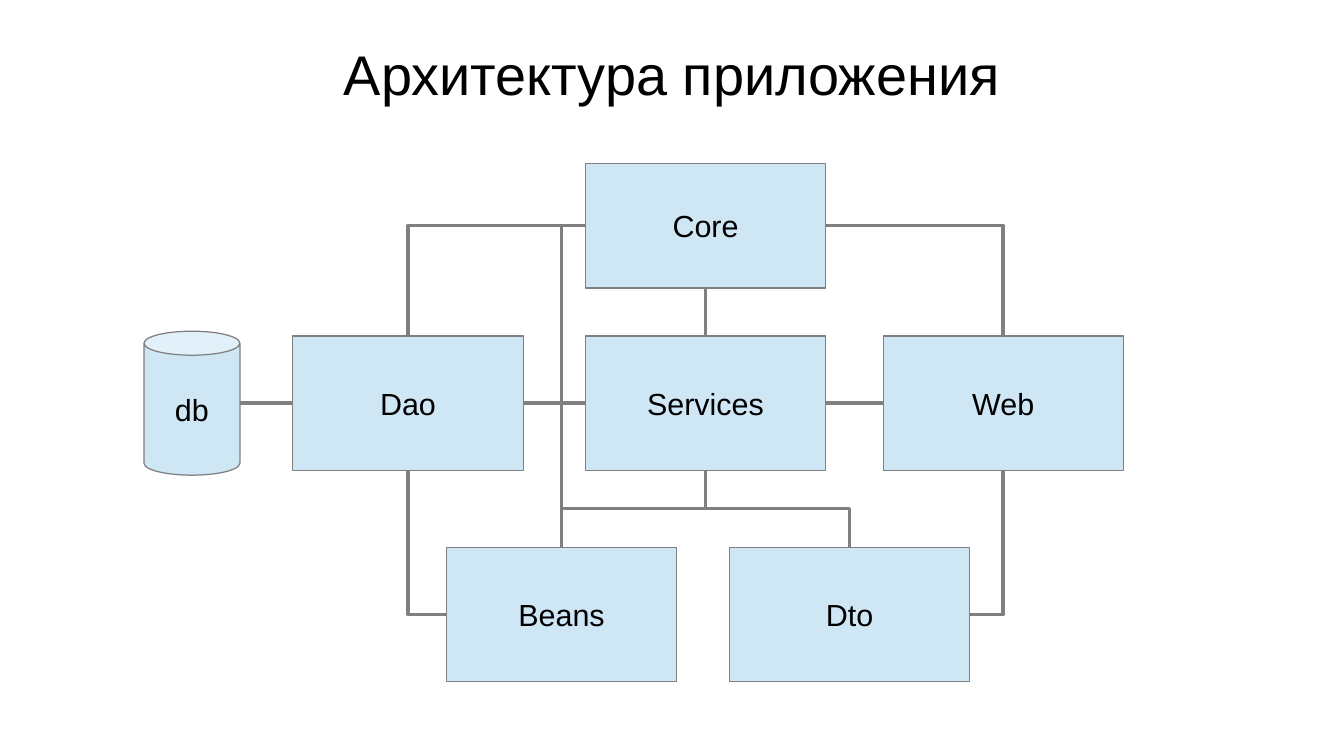
from dataclasses import dataclass

from lxml.etree import SubElement
from pptx import Presentation
from pptx.dml.color import RGBColor
from pptx.enum.shapes import MSO_CONNECTOR, MSO_SHAPE
from pptx.enum.text import MSO_ANCHOR, PP_ALIGN
from pptx.oxml.ns import qn
from pptx.util import Pt


@dataclass(frozen=True)
class Theme:
    font: str = "Arial"
    title_size: float = 33
    label_size: float = 18
    text: RGBColor = RGBColor(0x00, 0x00, 0x00)
    fill: RGBColor = RGBColor(0xCF, 0xE7, 0xF5)
    line: RGBColor = RGBColor(0x80, 0x80, 0x80)
    line_width: float = 0


SITES = {"top": 0, "left": 1, "bottom": 2, "right": 3}


def apply_format(target, values):
    for name, value in values.items():
        setattr(target, name, value)


def side_point(box, side):
    across, down = {"top": (0.5, 0), "left": (0, 0.5),
                    "bottom": (0.5, 1), "right": (1, 0.5)}[side]
    return box.left + int(box.width * across), box.top + int(box.height * down)


class Diagram:
    def __init__(self, page, theme):
        self.page = page
        self.theme = theme

    def label(self, shape, text, size, margins, wrap):
        frame = shape.text_frame
        side, edge = (Pt(margin) for margin in margins)
        apply_format(frame, {
            "margin_left": side, "margin_right": side,
            "margin_top": edge, "margin_bottom": edge,
            "word_wrap": wrap, "vertical_anchor": MSO_ANCHOR.MIDDLE,
        })
        para = frame.paragraphs[0]
        para.alignment = PP_ALIGN.CENTER
        span = para.add_run()
        span.text = text
        apply_format(span.font, {"name": self.theme.font, "size": Pt(size)})
        span.font.color.rgb = self.theme.text

    def outline(self, shape):
        shape.line.color.rgb = self.theme.line
        shape.line.width = Pt(self.theme.line_width)

    def title(self, text, left, top, width, height):
        title = self.page.shapes.title
        apply_format(title, {"left": Pt(left), "top": Pt(top),
                             "width": Pt(width), "height": Pt(height)})
        self.label(title, text, self.theme.title_size, (0, 0), True)

    def box(self, text, left, top, width, height, kind=MSO_SHAPE.RECTANGLE):
        box = self.page.shapes.add_shape(
            kind, Pt(left), Pt(top), Pt(width), Pt(height))
        box.shadow.inherit = False
        box.fill.solid()
        box.fill.fore_color.rgb = self.theme.fill
        self.outline(box)
        self.label(box, text, self.theme.label_size, (7.2, 3.6), False)
        return box

    def connector(self, kind, start, end):
        line = self.page.shapes.add_connector(kind, *start, *end)
        self.outline(line)
        SubElement(line._element.spPr, qn("a:effectLst"))
        return line

    def straight(self, first, first_side, second, second_side):
        line = self.connector(MSO_CONNECTOR.STRAIGHT,
                              side_point(first, first_side),
                              side_point(second, second_side))
        if first.auto_shape_type == MSO_SHAPE.RECTANGLE:
            line.begin_connect(first, SITES[first_side])
        line.end_connect(second, SITES[second_side])

    def corner(self, first, first_side, second, second_side):
        line = self.connector(MSO_CONNECTOR.ELBOW,
                              side_point(first, first_side),
                              side_point(second, second_side))
        line._element.spPr.find(qn("a:prstGeom")).set("prst", "bentConnector2")

    def branch(self, parent, child):
        start_x, start_y = side_point(parent, "bottom")
        end_x, end_y = side_point(child, "top")
        middle_x, middle_y = (start_x + end_x) // 2, (start_y + end_y) // 2
        half_drop, half_shift = (end_y - start_y) // 2, abs(end_x - start_x) // 2
        turn, sign = (270, 1) if end_x > start_x else (90, -1)
        line = self.connector(
            MSO_CONNECTOR.ELBOW,
            (middle_x + sign * half_drop, middle_y - half_shift),
            (middle_x - sign * half_drop, middle_y + half_shift))
        line._element.spPr.find(qn("a:xfrm")).set("rot", str(turn * 60000))


def main():
    deck = Presentation()
    deck.slide_width, deck.slide_height = Pt(793.7), Pt(446.46)
    diagram = Diagram(deck.slides.add_slide(deck.slide_layouts[5]), Theme())
    diagram.title("Архитектура приложения", 39.7, 17.4, 714.3, 51.4)

    narrow, wide, tall = 136.1, 141.7, 79.4
    middle_row, lower_row, center_column = 198.4, 323.2, 345.8
    database = diagram.box("db", 85, 195.6, 56.7, 85, MSO_SHAPE.CAN)
    dao = diagram.box("Dao", 172.9, middle_row, narrow, tall)
    services = diagram.box("Services", center_column, middle_row, wide, tall)
    web = diagram.box("Web", 521.6, middle_row, wide, tall)
    beans = diagram.box("Beans", 263.6, lower_row, narrow, tall)
    core = diagram.box("Core", center_column, 96.4, wide, 73.7)
    dto = diagram.box("Dto", 430.9, lower_row, wide, tall)

    for first, second in ((database, dao), (dao, services), (services, web)):
        diagram.straight(first, "right", second, "left")
    diagram.straight(core, "bottom", services, "top")

    for first, first_side, second, second_side in (
        (beans, "left", dao, "bottom"),
        (dto, "right", web, "bottom"),
        (core, "right", web, "top"),
        (core, "left", dao, "top"),
        (core, "left", beans, "top"),
    ):
        diagram.corner(first, first_side, second, second_side)

    for child in (dto, beans):
        diagram.branch(services, child)

    deck.save("out.pptx")


if __name__ == "__main__":
    main()
